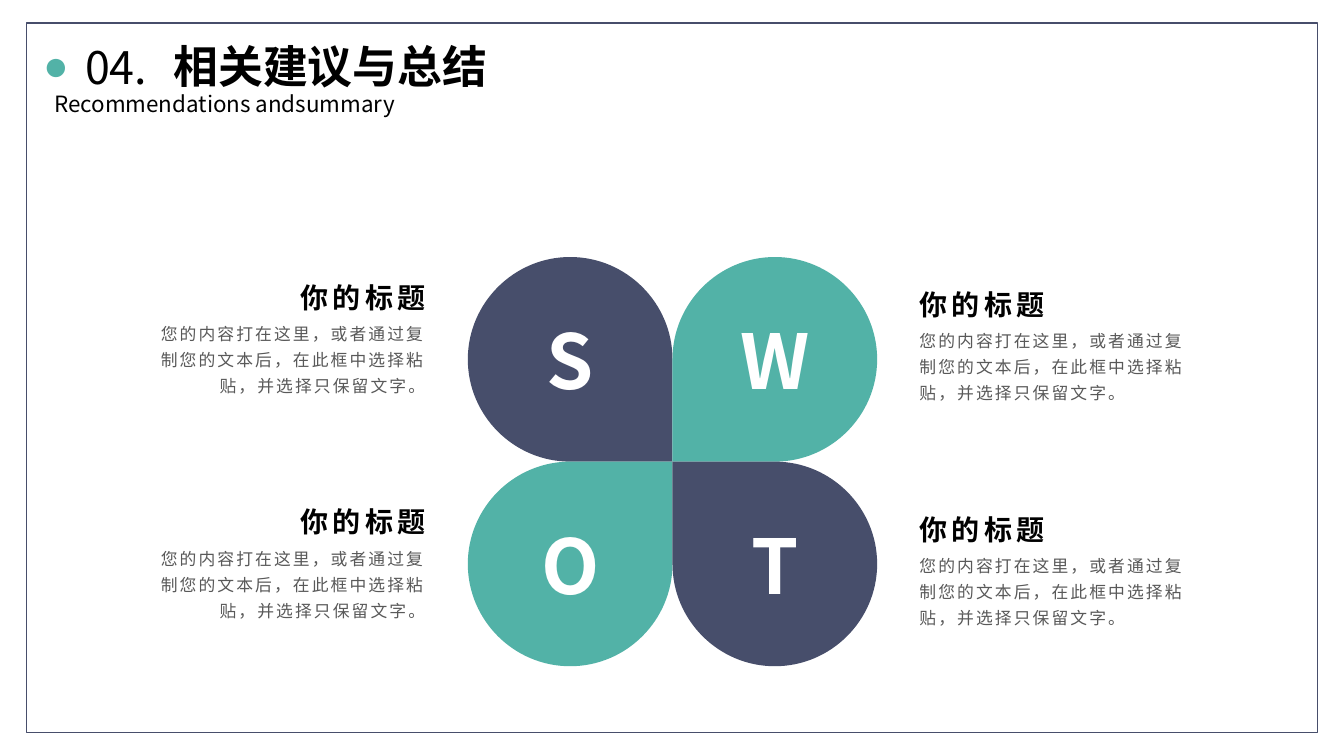
from lxml import etree
from pptx import Presentation
from pptx.dml.color import RGBColor
from pptx.enum import shapes, text
from pptx.oxml import ns
from pptx.util import Inches, Pt

NAVY = RGBColor(0x47, 0x4E, 0x6B)
TEAL = RGBColor(0x52, 0xB2, 0xA7)
BLACK = RGBColor(0, 0, 0)
GREY = RGBColor(0x59, 0x59, 0x59)
WHITE = RGBColor(0xFF, 0xFF, 0xFF)
FONT = "Noto Sans CJK JP"
BULLET_FONT = "Arial"

LEFT, RIGHT = text.PP_ALIGN.LEFT, text.PP_ALIGN.RIGHT
CENTER, JUSTIFY = text.PP_ALIGN.CENTER, text.PP_ALIGN.JUSTIFY

CENTER_X, CENTER_Y, PETAL_SIZE = 6.67, 4.58, 2.03
ROW_STEP = 2.23
HEADING = "你的标题"
BODY = "您的内容打在这里，或者通过复制您的文本后，在此框中选择粘贴，并选择只保留文字。"

# Petal outline in radii from the flower's centre: one straight edge, then three quarter arcs
NEAR, FAR = 0.45, 1.55
PETAL_EDGE = [(1, 0)]
PETAL_ARCS = [(FAR, 0), (2, NEAR), (2, 1),
              (2, FAR), (FAR, 2), (1, 2),
              (NEAR, 2), (0, FAR), (0, 1)]

HEADING_FORMAT = {"size": Pt(32), "bold": True}
NUMBER_FORMAT = {"size": Pt(32)}
SUBTITLE_FORMAT = {"size": Pt(16)}
LETTER_FORMAT = {"size": Pt(54), "bold": True}
ITEM_FORMAT = {"size": Pt(20), "bold": True}
BODY_FORMAT = {"size": Pt(12)}
BODY_PARAGRAPH = {"line_spacing": 1.3, "space_after": Pt(7)}


def write(shape, words, font_format, color=BLACK, align=LEFT, spacing=0, paragraph_format=None):
    """Put one formatted paragraph into a shape; spacing is in points."""
    paragraph = shape.text_frame.paragraphs[0]
    run = paragraph.add_run()
    run.text = words
    for name, value in {"alignment": align, **(paragraph_format or {})}.items():
        setattr(paragraph, name, value)
    for name, value in {"name": FONT, **font_format}.items():
        setattr(run.font, name, value)
    run.font.color.rgb = color
    properties = run._r.get_or_add_rPr()
    etree.SubElement(properties, ns.qn("a:ea"), typeface=FONT)
    if spacing:
        properties.set("spc", str(int(spacing * 100)))


def set_frame(shape, margins=True):
    settings = {
        "word_wrap": True,
        "auto_size": text.MSO_AUTO_SIZE.SHAPE_TO_FIT_TEXT,
        "vertical_anchor": text.MSO_ANCHOR.TOP,
    }
    if not margins:
        settings.update(dict.fromkeys(
            ("margin_left", "margin_top", "margin_right", "margin_bottom"), 0))
    for name, value in settings.items():
        setattr(shape.text_frame, name, value)


def add_label(slide, box, *args, margins=False, **kwargs):
    shape = slide.shapes.add_textbox(*map(Inches, box))
    set_frame(shape, margins)
    write(shape, *args, **kwargs)
    return shape


def add_border(slide):
    border = slide.shapes.add_shape(
        shapes.MSO_SHAPE.RECTANGLE, *map(Inches, (0.26, 0.23, 12.81, 7.04)))
    border.shadow.inherit = False
    border.fill.background()
    border.line.color.rgb = NAVY
    border.line.width = Pt(1)


def add_title(slide):
    title = slide.shapes.title
    title.left, title.top, title.width, title.height = map(Inches, (1.62, 0.33, 3.98, 0.64))
    set_frame(title)
    write(title, "相关建议与总结", HEADING_FORMAT, align=JUSTIFY)


def add_bullet(shape, color):
    properties = shape.text_frame.paragraphs[0]._p.get_or_add_pPr()
    properties.set("marL", "0")
    properties.set("indent", str(Inches(-0.43)))
    bullet_color = etree.SubElement(properties, ns.qn("a:buClr"))
    etree.SubElement(bullet_color, ns.qn("a:srgbClr"), val=str(color))
    etree.SubElement(properties, ns.qn("a:buSzPct"), val="95000")
    etree.SubElement(properties, ns.qn("a:buFont"), typeface=BULLET_FONT)
    etree.SubElement(properties, ns.qn("a:buChar"), char="●")


def bend_arcs(shape):
    """Turn every three line points after the straight edge into one curve."""
    lines = list(shape._element.iter(ns.qn("a:lnTo")))[len(PETAL_EDGE):]
    for start in range(0, len(PETAL_ARCS), 3):
        curve = etree.Element(ns.qn("a:cubicBezTo"))
        lines[start].addprevious(curve)
        for line in lines[start:start + 3]:
            curve.append(line[0])
            line.getparent().remove(line)


def add_petal(slide, letter, side_x, side_y, color):
    radius = PETAL_SIZE / 2
    points = [(Inches(CENTER_X + side_x * radius * x), Inches(CENTER_Y + side_y * radius * y))
              for x, y in PETAL_EDGE + PETAL_ARCS]
    builder = slide.shapes.build_freeform(Inches(CENTER_X), Inches(CENTER_Y))
    builder.add_line_segments(points, close=True)
    petal = builder.convert_to_shape()
    bend_arcs(petal)
    petal.shadow.inherit = False
    petal.fill.solid()
    petal.fill.fore_color.rgb = color
    petal.line.fill.background()
    petal.text_frame.vertical_anchor = text.MSO_ANCHOR.MIDDLE
    write(petal, letter, LETTER_FORMAT, WHITE, CENTER)


def add_item(slide, body_left, heading_left, top, align):
    add_label(slide, (body_left, top + 0.37, 2.8, 0.79), BODY, BODY_FORMAT, GREY, align,
              spacing=1.5, paragraph_format=BODY_PARAGRAPH)
    add_label(slide, (heading_left, top, 1.89, 0.34), HEADING, ITEM_FORMAT,
              align=align, spacing=3)


def main():
    presentation = Presentation()
    presentation.slide_width, presentation.slide_height = Inches(13.33), Inches(7.5)
    slide = presentation.slides.add_slide(presentation.slide_layouts[5])

    add_border(slide)
    add_title(slide)
    number = add_label(slide, (0.33, 0.34, 1.39, 0.64), "04.", NUMBER_FORMAT,
                       align=CENTER, margins=True)
    add_bullet(number, TEAL)
    add_label(slide, (0.54, 0.89, 5.59, 0.27), "Recommendations andsummary",
              SUBTITLE_FORMAT, align=JUSTIFY)

    for letter, side_x, side_y, color in (
            ("S", -1, -1, NAVY), ("W", 1, -1, TEAL), ("O", -1, 1, TEAL), ("T", 1, 1, NAVY)):
        add_petal(slide, letter, side_x, side_y, color)

    for row in range(2):
        add_item(slide, 9.12, 9.12, 2.85 + row * ROW_STEP, LEFT)
        add_item(slide, 1.42, 2.33, 2.78 + row * ROW_STEP, RIGHT)

    presentation.save("out.pptx")


if __name__ == "__main__":
    main()
